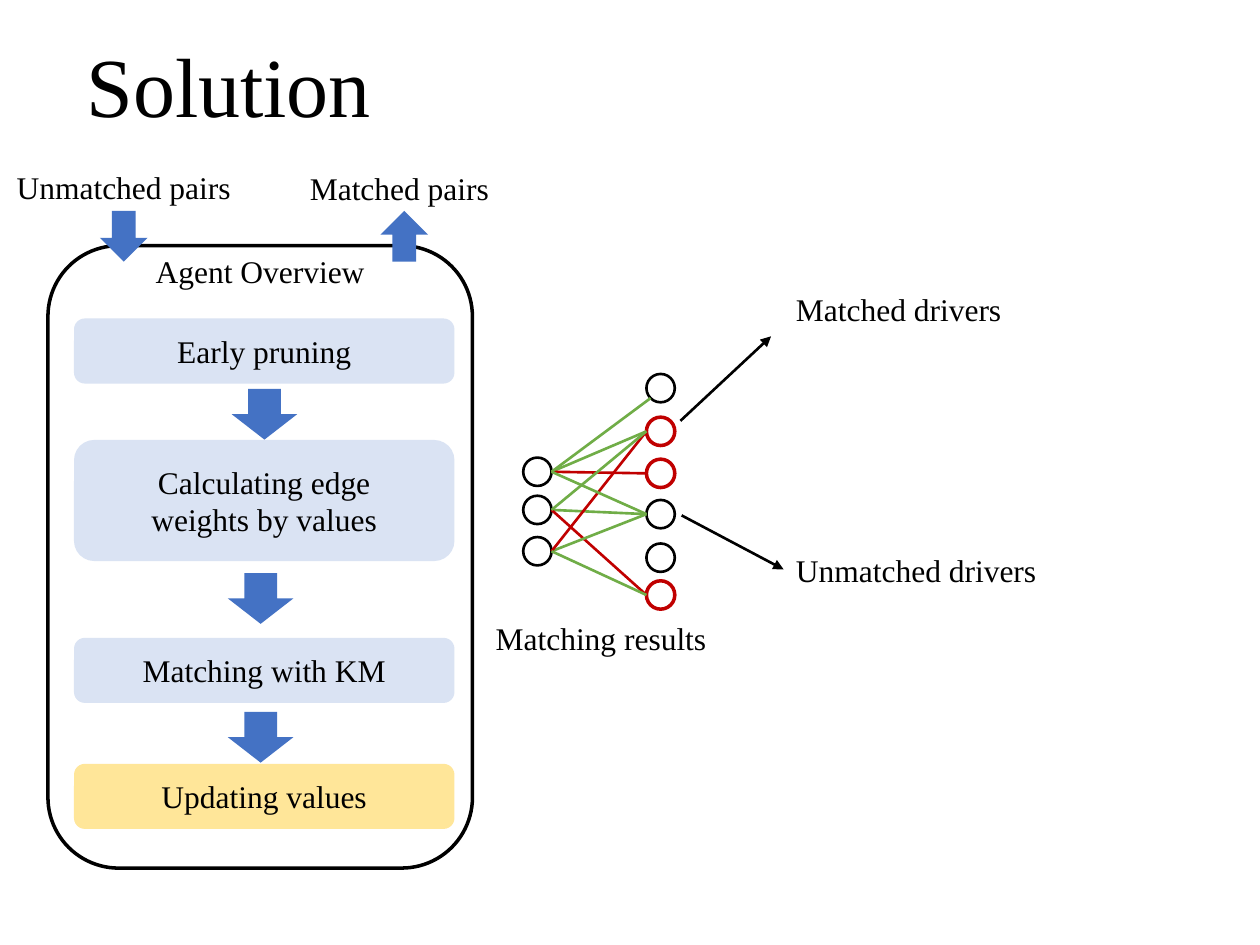
from math import sqrt
from typing import NamedTuple

from pptx import Presentation
from pptx.dml.color import RGBColor
from pptx.enum.shapes import MSO_CONNECTOR, MSO_SHAPE
from pptx.enum.text import MSO_ANCHOR, PP_ALIGN
from pptx.oxml.ns import qn
from pptx.util import Pt

BLACK = RGBColor(0x00, 0x00, 0x00)
BLUE = RGBColor(0x44, 0x72, 0xC4)
PALE_BLUE = RGBColor(0xDA, 0xE3, 0xF3)
YELLOW = RGBColor(0xFF, 0xE6, 0x99)
RED = RGBColor(0xC0, 0x00, 0x00)
GREEN = RGBColor(0x70, 0xAD, 0x47)
FONT = "Times New Roman"

NODE_SIZE = 16.2
ORDER_X, DRIVER_X = 299, 369.4
ORDER_YS = (269.6, 291.4, 315)
DRIVER_YS = (221.8, 246.5, 270.5, 293.8, 318.7, 340)
MATCHED_DRIVERS = {1, 2, 5}
STEP_X, STEP_W = 42.3, 217.4


class Label(NamedTuple):
    text: str
    x: float
    y: float
    w: float
    h: float = 29
    align: PP_ALIGN = PP_ALIGN.CENTER
    size: float = 18


class Step(NamedTuple):
    lines: tuple[str, ...]
    y: float
    h: float = 37.2
    fill: RGBColor = PALE_BLUE


class BlockArrow(NamedTuple):
    x: float
    y: float
    length: float
    breadth: float
    rotation: float = 90


class Edge(NamedTuple):
    order: int
    driver: int
    color: RGBColor


LABELS = (
    Label("Solution", 42.3, 15.1, 635, 65.5, PP_ALIGN.LEFT, 48),
    Label("Agent Overview", 27.4, 140.4, 242.6),
    Label("Unmatched pairs", -8.8, 92.2, 159),
    Label("Matched pairs", 148.8, 92.9, 159),
    Label("Matching results", 252, 350, 183),
    Label("Matched drivers", 447.8, 162, 183, align=PP_ALIGN.LEFT),
    Label("Unmatched drivers", 447.8, 311, 183, align=PP_ALIGN.LEFT),
)
STEPS = (
    Step(("Early pruning",), 182),
    Step(("Calculating edge", "weights by values"), 251.4, 69.2),
    Step(("Matching with KM",), 364.5),
    Step(("Updating values",), 436.5, fill=YELLOW),
)
BLOCK_ARROWS = (
    BlockArrow(136.6, 218, 29, 37.4),
    BlockArrow(134.4, 323.3, 29, 37.4),
    BlockArrow(134.4, 402.6, 29, 37.4),
    BlockArrow(56.2, 121.4, 29, 27.2),
    BlockArrow(216.5, 121.4, 29, 27.2, 270),
)
EDGES = (
    Edge(0, 1, GREEN), Edge(0, 2, RED), Edge(1, 3, GREEN),
    Edge(1, 5, RED), Edge(2, 3, GREEN), Edge(2, 1, RED),
    Edge(0, 0, GREEN), Edge(0, 3, GREEN), Edge(1, 1, GREEN),
    Edge(2, 5, GREEN),
)
POINTERS = (((388.8, 240.5), (440.6, 192.2)), ((389.5, 294.5), (447.8, 325.4)))


def add_shape(shapes, kind: MSO_SHAPE, x: float, y: float, w: float, h: float,
              fill: RGBColor | None = None, line: RGBColor | None = None,
              width: float = 2):
    sp = shapes.add_shape(kind, Pt(x), Pt(y), Pt(w), Pt(h))
    sp.shadow.inherit = False
    if fill is None:
        sp.fill.background()
    else:
        sp.fill.solid()
        sp.fill.fore_color.rgb = fill
    if line is None:
        sp.line.fill.background()
    else:
        sp.line.color.rgb = line
        sp.line.width = Pt(width)
    return sp


def write(tf, lines: tuple[str, ...], align: PP_ALIGN, size: float) -> None:
    tf.word_wrap = True
    tf.vertical_anchor = MSO_ANCHOR.MIDDLE
    for i, text in enumerate(lines):
        p = tf.add_paragraph() if i else tf.paragraphs[0]
        p.alignment = align
        r = p.add_run()
        r.text = text
        r.font.name = FONT
        r.font.size = Pt(size)
        r.font.color.rgb = BLACK


def add_label(shapes, label: Label) -> None:
    sp = shapes.add_textbox(Pt(label.x), Pt(label.y), Pt(label.w), Pt(label.h))
    write(sp.text_frame, (label.text,), label.align, label.size)


def add_step(shapes, step: Step) -> None:
    sp = add_shape(shapes, MSO_SHAPE.ROUNDED_RECTANGLE, STEP_X, step.y,
                   STEP_W, step.h, fill=step.fill)
    write(sp.text_frame, step.lines, PP_ALIGN.CENTER, 18)


def add_block_arrow(shapes, arrow: BlockArrow) -> None:
    sp = add_shape(shapes, MSO_SHAPE.RIGHT_ARROW, arrow.x, arrow.y,
                   arrow.length, arrow.breadth, fill=BLUE)
    sp.rotation = arrow.rotation


def add_node(shapes, x: float, center_y: float, matched: bool = False) -> None:
    add_shape(shapes, MSO_SHAPE.OVAL, x, center_y - NODE_SIZE / 2,
              NODE_SIZE, NODE_SIZE, line=RED if matched else BLACK,
              width=2 if matched else 1.5)


def add_line(shapes, start: tuple[float, float], end: tuple[float, float],
             color: RGBColor, arrowhead: bool = False) -> None:
    cx = shapes.add_connector(MSO_CONNECTOR.STRAIGHT, Pt(start[0]), Pt(start[1]),
                              Pt(end[0]), Pt(end[1]))
    cx.line.color.rgb = color
    cx.line.width = Pt(1.5)
    if arrowhead:
        ln = cx.line._get_or_add_ln()
        ln.append(ln.makeelement(qn("a:tailEnd"), {"type": "triangle"}))
    sp_pr = cx._element.spPr
    sp_pr.append(sp_pr.makeelement(qn("a:effectLst"), {}))


def add_edge(shapes, edge: Edge) -> None:
    """Join two nodes; the top driver is met at its lower left."""
    x, y = DRIVER_X, DRIVER_YS[edge.driver]
    if edge.driver == 0:
        radius = NODE_SIZE / 2
        x += radius * (1 - 1 / sqrt(2))
        y += radius / sqrt(2)
    add_line(shapes, (ORDER_X + NODE_SIZE, ORDER_YS[edge.order]), (x, y), edge.color)


def main() -> None:
    prs = Presentation()
    prs.slide_width, prs.slide_height = Pt(720), Pt(540)
    s = prs.slides.add_slide(prs.slide_layouts[6])

    add_shape(s.shapes, MSO_SHAPE.ROUNDED_RECTANGLE, 27.4, 140.4, 242.6, 355.7,
              line=BLACK)
    for step in STEPS:
        add_step(s.shapes, step)
    for arrow in BLOCK_ARROWS:
        add_block_arrow(s.shapes, arrow)

    graph = s.shapes.add_group_shape().shapes
    for y in ORDER_YS:
        add_node(graph, ORDER_X, y)
    for i, y in enumerate(DRIVER_YS):
        add_node(graph, DRIVER_X, y, i in MATCHED_DRIVERS)
    for edge in EDGES:
        add_edge(graph, edge)

    for start, end in POINTERS:
        add_line(s.shapes, start, end, BLACK, arrowhead=True)
    for label in LABELS:
        add_label(s.shapes, label)
    prs.save("out.pptx")


if __name__ == "__main__":
    main()
